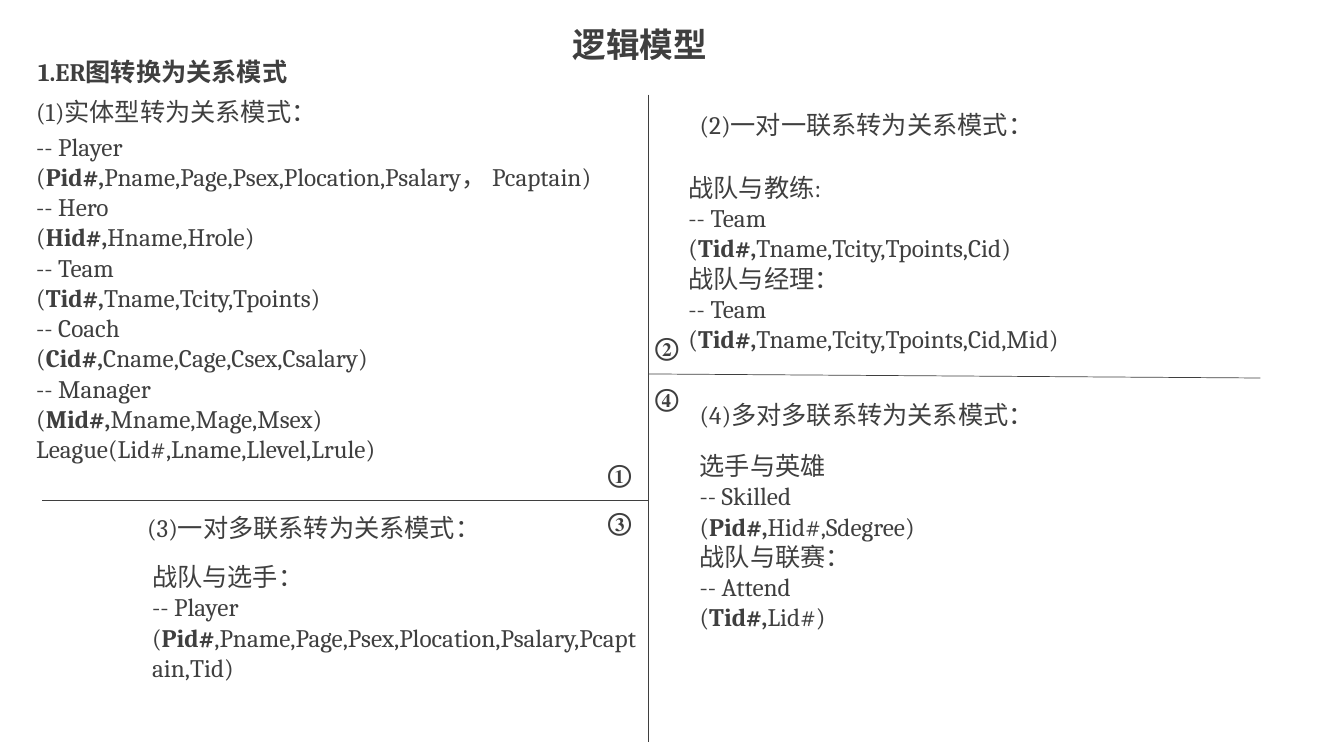
from lxml import etree
from pptx import Presentation
from pptx import util as u
from pptx.dml.color import RGBColor
from pptx.enum import shapes, text
from pptx.oxml.ns import qn

INK = "3F3F3F"
LATIN = "Cambria"
CHINESE = "Noto Sans CJK SC"
LINE_HEIGHT = 0.4


def color(value):
    return RGBColor.from_string(value)


def add_text(slide, box, content, size=18, bold=False, latin=LATIN, east_asian=CHINESE):
    shape = slide.shapes.add_textbox(*(u.Inches(length) for length in box))
    frame = shape.text_frame
    frame.word_wrap = True
    frame.auto_size = text.MSO_AUTO_SIZE.NONE
    for index, line in enumerate(content.split("\n")):
        paragraph = frame.add_paragraph() if index else frame.paragraphs[0]
        for part, words in enumerate(line.split("*")):
            if not words:
                continue
            run = paragraph.add_run()
            run.text = words
            run.font.size = u.Pt(size)
            run.font.bold = bold or part % 2 == 1
            run.font.color.rgb = color(INK)
            run.font.name = latin
            etree.SubElement(run.font._element, qn("a:ea"), typeface=east_asian)
    return shape


def add_line(slide, start, end):
    line = slide.shapes.add_connector(
        shapes.MSO_CONNECTOR.STRAIGHT, *(u.Inches(length) for length in start + end)
    )
    line.line.color.rgb = color(INK)
    line.line.width = u.Pt(0.5)
    etree.SubElement(line._element.spPr, qn("a:effectLst"))


def add_header(slide, left, top):
    add_text(slide, (left + 5.3, top, 1.92, 0.5), "逻辑模型", size=24, bold=True, latin=CHINESE)
    add_text(slide, (left, top + 0.32, 3.41, LINE_HEIGHT), "1.ER图转换为关系模式", bold=True)


def add_dividers(slide, center):
    add_line(slide, (0.42, 4.96), (center, 4.96))
    add_line(slide, (center, 0.94), (center, 7.36))
    add_line(slide, (center, 3.71), (12.5, 3.75))


def add_section(slide, box, heading, relations, offset, marker, marker_at):
    left, top, width, height = box
    shift, drop = offset
    add_text(slide, (left, top, 3.45, LINE_HEIGHT), heading)
    add_text(slide, (left + shift, top + drop, width, height), relations)
    add_text(slide, marker_at + (0.33, LINE_HEIGHT), marker, bold=True, east_asian=LATIN)


SECTIONS = [
    ((0.26, 0.91, 6.01, 3.74), "(1)实体型转为关系模式：",
     "-- Player\n(*Pid#,*Pname,Page,Psex,Plocation,Psalary， Pcaptain)\n"
     "-- Hero\n(*Hid#,*Hname,Hrole)\n"
     "-- Team\n(*Tid#,*Tname,Tcity,Tpoints)\n"
     "-- Coach\n(*Cid#,*Cname,Cage,Csex,Csalary)\n"
     "-- Manager\n(*Mid#,*Mname,Mage,Msex)\n"
     "League(Lid#,Lname,Llevel,Lrule)",
     (0, 0.34), "①", (5.93, 4.5)),
    ((6.84, 1.04, 5.39, 1.92), "(2)一对一联系转为关系模式：",
     "战队与教练:\n-- Team\n(*Tid#,*Tname,Tcity,Tpoints,Cid)\n"
     "战队与经理：\n-- Team\n(*Tid#,*Tname,Tcity,Tpoints,Cid,Mid)",
     (-0.11, 0.62), "②", (6.4, 3.24)),
    ((1.36, 5.03, 5.02, 1.31), "(3)一对多联系转为关系模式：",
     "战队与选手：\n-- Player\n"
     "(*Pid#*,Pname,Page,Psex,Plocation,Psalary,Pcaptain,Tid)",
     (0.05, 0.49), "③", (5.93, 4.97)),
    ((6.84, 3.91, 3.98, 1.92), "(4)多对多联系转为关系模式：",
     "选手与英雄\n-- Skilled\n(*Pid#,*Hid#,Sdegree)\n"
     "战队与联赛：\n-- Attend\n(*Tid#,*Lid#)",
     (0, 0.51), "④", (6.4, 3.74)),
]


def main():
    presentation = Presentation()
    presentation.slide_width = u.Inches(13.33)
    presentation.slide_height = u.Inches(7.5)
    slide = presentation.slides.add_slide(presentation.slide_layouts[6])
    add_header(slide, 0.28, 0.19)
    add_dividers(slide, 6.43)
    for section in SECTIONS:
        add_section(slide, *section)
    presentation.save("out.pptx")


if __name__ == "__main__":
    main()
